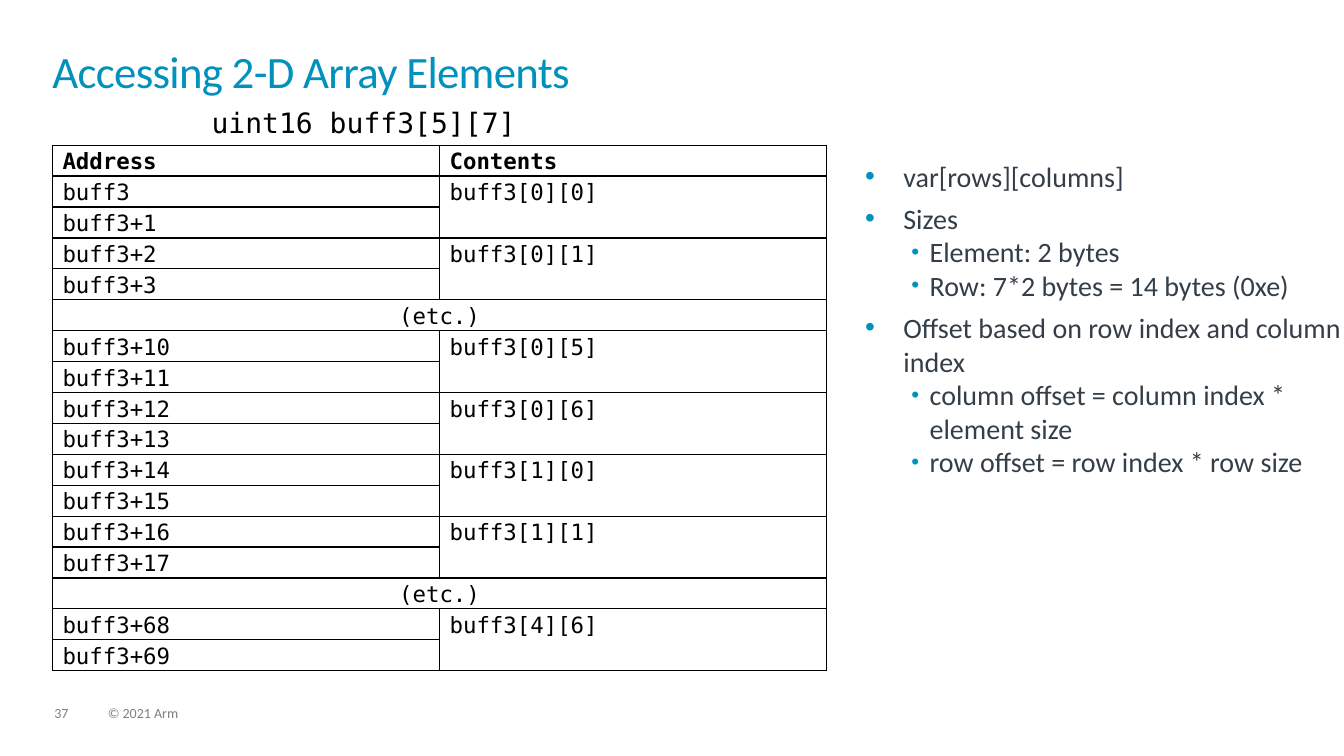
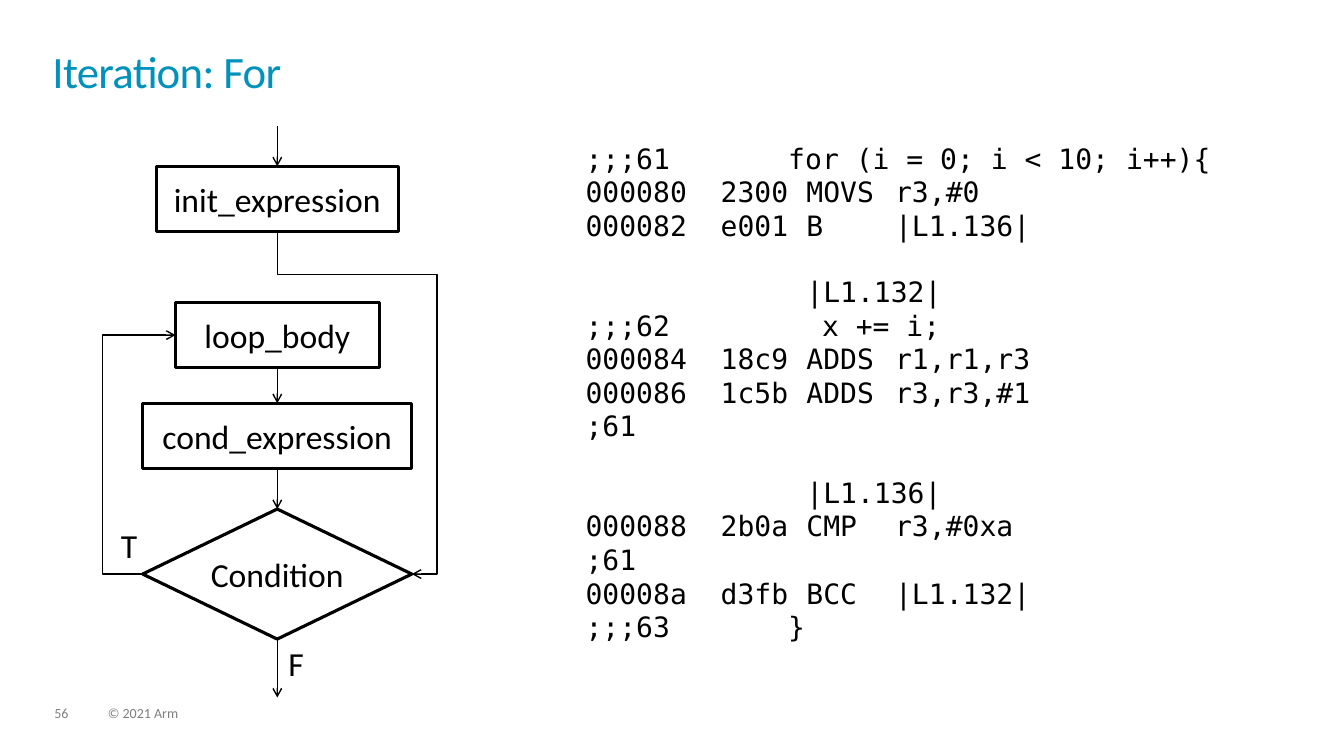
from lxml import etree
from pptx import Presentation
from pptx.dml.color import RGBColor
from pptx.enum.shapes import MSO_CONNECTOR as CONN, MSO_SHAPE as SHAPE
from pptx.enum.text import MSO_ANCHOR as ANCHOR, PP_ALIGN as ALIGN
from pptx.oxml.ns import qn
from pptx.util import Inches, Pt

TEAL = RGBColor(0x00, 0x91, 0xBD)
SLATE = RGBColor(0x33, 0x3E, 0x48)
GREY = RGBColor(0x7F, 0x7F, 0x7F)
BLACK = RGBColor(0, 0, 0)
SANS, MONO = "Calibri", "DejaVu Sans Mono"

# Each address pair shares one element; None marks skipped addresses.
ELEMENTS = [
    (0, "[0][0]"), (2, "[0][1]"), None,
    (10, "[0][5]"), (12, "[0][6]"), (14, "[1][0]"), (16, "[1][1]"), None,
    (68, "[4][6]"),
]
NOTES = [
    (0, "var[rows][columns]"),
    (0, "Sizes"),
    (1, "Element: 2 bytes"),
    (1, "Row: 7*2 bytes = 14 bytes (0xe)"),
    (0, "Offset based on row index and column index"),
    (1, "column offset = column index * element size"),
    (1, "row offset = row index * row size"),
]
# Each block is set apart from the next by one line.
LISTING = [
    [";;;61       for (i = 0; i < 10; i++){",
     "000080  2300\tMOVS\tr3,#0",
     "000082  e001\tB\t|L1.136|"],
    ["\t|L1.132|",
     ";;;62         x += i;",
     "000084  18c9\tADDS\tr1,r1,r3",
     "000086  1c5b\tADDS\tr3,r3,#1",
     ";61"],
    ["\t|L1.136|",
     "000088  2b0a\tCMP\tr3,#0xa",
     ";61",
     "00008a  d3fb\tBCC\t|L1.132|",
     ";;;63       }"],
]


def add_xml(parent, tag, **attrs):
    return etree.SubElement(parent, qn(tag), attrs)


def style(p, size, color=BLACK, name=SANS, bold=False):
    p.font.size, p.font.name, p.font.bold = Pt(size), name, bold
    p.font.color.rgb = color


def text_box(s, x, y, w, h, inset=(0, 0)):
    tf = s.shapes.add_textbox(Inches(x), Inches(y), Inches(w), Inches(h)).text_frame
    tf.word_wrap = True
    tf.margin_left = tf.margin_right = Inches(inset[0])
    tf.margin_top = tf.margin_bottom = Inches(inset[1])
    return tf


def label(s, x, y, w, h, text, size, color=BLACK, name=SANS, inset=(0, 0)):
    p = text_box(s, x, y, w, h, inset).paragraphs[0]
    p.text = text
    style(p, size, color, name)
    return p


def paragraphs(tf, count):
    """Return the frame's paragraphs after extending them to count."""
    while len(tf.paragraphs) < count:
        tf.add_paragraph()
    return tf.paragraphs


def base_slide(prs, title, number):
    s = prs.slides.add_slide(prs.slide_layouts[6])
    for x, w, text in ((0.54, 0.34, str(number)), (1.07, 5.07, "© 2021 Arm")):
        label(s, x, 7.01, w, 0.15, text, 10, GREY).line_spacing = 0.9
    p = label(s, 0.52, 0.52, 12.28, 0.72, title, 32, TEAL)
    p.line_spacing = 0.85
    p.runs[0]._r.get_or_add_rPr().set("spc", "-50")
    return s


def fill_cell(cell, text, bold=False, align=ALIGN.LEFT):
    cell.margin_top = cell.margin_bottom = 0
    p = cell.text_frame.paragraphs[0]
    p.text, p.alignment, p.line_spacing = text, align, 1.15
    style(p, 16, BLACK, MONO, bold)


def frame_cell(cell):
    """Give a cell thin black borders and no fill."""
    tcPr = cell._tc.get_or_add_tcPr()
    for side in ("a:lnL", "a:lnR", "a:lnT", "a:lnB"):
        ln = add_xml(tcPr, side, w=str(Pt(1)))
        add_xml(add_xml(ln, "a:solidFill"), "a:srgbClr", val=str(BLACK))
    cell.fill.background()


def memory_table(s, x, y, w, row_h):
    count = 1 + sum(2 if e else 1 for e in ELEMENTS)
    table = s.shapes.add_table(count, 2, Inches(x), Inches(y), Inches(w),
                               Inches(row_h * count)).table
    table.first_row = table.horz_banding = False
    for row in table.rows:
        row.height = Inches(row_h)
        for cell in row.cells:
            frame_cell(cell)
            cell.margin_top = cell.margin_bottom = 0
    for col, head in enumerate(("Address", "Contents")):
        fill_cell(table.cell(0, col), head, bold=True)
    r = 1
    for element in ELEMENTS:
        if element is None:
            table.cell(r, 0).merge(table.cell(r, 1))
            fill_cell(table.cell(r, 0), "(etc.)", align=ALIGN.CENTER)
            r += 1
            continue
        offset, index = element
        table.cell(r, 1).merge(table.cell(r + 1, 1))
        fill_cell(table.cell(r, 1), "buff3" + index)
        for address in (offset, offset + 1):
            fill_cell(table.cell(r, 0), f"buff3+{address}" if address else "buff3")
            r += 1


def bullet_list(s, x, y, w, h):
    tf = text_box(s, x, y, w, h)
    for i, (p, (level, text)) in enumerate(zip(paragraphs(tf, len(NOTES)), NOTES)):
        p.text, p.level = text, level
        margin, hang, scale = ((0.38, 0.38, 100), (0.64, 0.18, 80))[level]
        pPr = p._p.get_or_add_pPr()
        pPr.set("marL", str(Inches(margin)))
        pPr.set("indent", str(-Inches(hang)))
        add_xml(add_xml(pPr, "a:buClr"), "a:srgbClr", val=str(TEAL))
        add_xml(pPr, "a:buSzPct", val=str(scale * 1000))
        add_xml(pPr, "a:buFont", typeface="Arial")
        add_xml(pPr, "a:buChar", char="•")
        p.space_before = Pt(6 if i and level == 0 else 0)
        style(p, 20, SLATE)


def code_listing(s, x, y, w, h):
    tf = text_box(s, x, y, w, h, (0.1, 0.05))
    lines = [(b and i == 0, text) for b, block in enumerate(LISTING)
             for i, text in enumerate(block)]
    for p, (gap, text) in zip(paragraphs(tf, len(lines)), lines):
        p.text = text
        tabs = add_xml(p._p.get_or_add_pPr(), "a:tabLst")
        for pos in (2.19, 3.07):
            add_xml(tabs, "a:tab", pos=str(Inches(pos)), algn="l")
        if gap:
            p.space_before = Pt(23.3)
        style(p, 20, BLACK, MONO)


def node(s, shape, cx, y, w, h, text):
    """Add a flowchart node centred on cx."""
    sp = s.shapes.add_shape(shape, Inches(cx - w / 2), Inches(y), Inches(w), Inches(h))
    sp.shadow.inherit = False
    sp.fill.background()
    sp.line.color.rgb, sp.line.width = BLACK, Pt(2.25)
    tf = sp.text_frame
    tf.margin_left = tf.margin_right = tf.margin_top = tf.margin_bottom = 0
    tf.vertical_anchor, tf.word_wrap = ANCHOR.MIDDLE, False
    p = tf.paragraphs[0]
    p.text, p.alignment = text, ALIGN.CENTER
    style(p, 24)
    return sp


def arrow(s, kind, x1, y1, x2, y2):
    line = s.shapes.add_connector(kind, Inches(x1), Inches(y1), Inches(x2), Inches(y2))
    line.line.color.rgb, line.line.width = BLACK, Pt(1)
    add_xml(line.line._ln, "a:tailEnd", type="arrow")
    add_xml(line._element.spPr, "a:effectLst")
    return line


def set_bends(line, preset, *ratios):
    geom = line._element.spPr.find(qn("a:prstGeom"))
    geom.set("prst", preset)
    for child in list(geom):
        geom.remove(child)
    guides = add_xml(geom, "a:avLst")
    for i, ratio in enumerate(ratios, 1):
        add_xml(guides, "a:gd", name=f"adj{i}", fmla=f"val {round(ratio * 100000)}")


def skip_arrow(s, x1, y1, x2, y2, drop, bulge):
    """Go down by drop, out past x2 by bulge, then down and back to (x2, y2)."""
    w, h = y2 - y1, x2 - x1
    cx, cy = (x1 + x2) / 2, (y1 + y2) / 2
    line = arrow(s, CONN.ELBOW, cx + w / 2, cy - h / 2, cx - w / 2, cy + h / 2)
    line.rotation = 270 if hasattr(line, "rotation") else 0
    line._element.spPr.find(qn("a:xfrm")).set("rot", str(270 * 60000))
    set_bends(line, "bentConnector4", drop / w, (h + bulge) / h)


def back_arrow(s, x1, y1, x2, y2, bulge):
    """Go left by bulge, up, then right to (x2, y2)."""
    line = arrow(s, CONN.ELBOW, x1, y1, x2, y2)
    set_bends(line, "bentConnector3", -bulge / (x2 - x1))


def flowchart(s, cx, top):
    box_h, wide, diamond_h = 0.65, 2.67, 1.29
    init = node(s, SHAPE.RECTANGLE, cx, top + 0.4, 2.4, box_h, "init_expression")
    body = node(s, SHAPE.RECTANGLE, cx, top + 1.75, 2.02, box_h, "loop_body")
    step = node(s, SHAPE.RECTANGLE, cx, top + 2.75, wide, box_h, "cond_expression")
    test = node(s, SHAPE.DIAMOND, cx, top + 3.8, wide, diamond_h, "Condition")
    test_y = top + 3.8 + diamond_h / 2

    for begin, end, y1, y2 in ((None, init, 0, 0.4), (body, step, 2.4, 2.75),
                               (step, test, 3.4, 3.8), (test, None, 5.09, 5.67)):
        line = arrow(s, CONN.STRAIGHT, cx, top + y1, cx, top + y2)
        if begin:
            line.begin_connect(begin, 2)
        if end:
            line.end_connect(end, 0)
    skip_arrow(s, cx, top + 1.05, cx + wide / 2, test_y, 0.42, 0.25)
    back_arrow(s, cx - wide / 2, test_y, cx - 1.01, top + 1.75 + box_h / 2, 0.4)
    label(s, cx - 1.55, top + 3.96, 0.3, 0.4, "T", 24)
    label(s, cx + 0.11, top + 5.13, 0.3, 0.4, "F", 24)


def array_slide(prs):
    s = base_slide(prs, "Accessing 2-D Array Elements", 37)
    memory_table(s, 0.52, 1.44, 7.68, 0.29)
    bullet_list(s, 8.58, 1.58, 4.75, 5.17)
    label(s, 2, 1, 3.4, 0.44, "uint16 buff3[5][7]", 20, name=MONO, inset=(0.1, 0.05))


def loop_slide(prs):
    s = base_slide(prs, "Iteration: For", 56)
    code_listing(s, 5.71, 1.35, 6.96, 5.15)
    flowchart(s, 2.75, 1.25)


def main():
    prs = Presentation()
    prs.slide_width, prs.slide_height = Inches(13.33), Inches(7.5)
    array_slide(prs)
    loop_slide(prs)
    prs.save("out.pptx")


if __name__ == "__main__":
    main()
